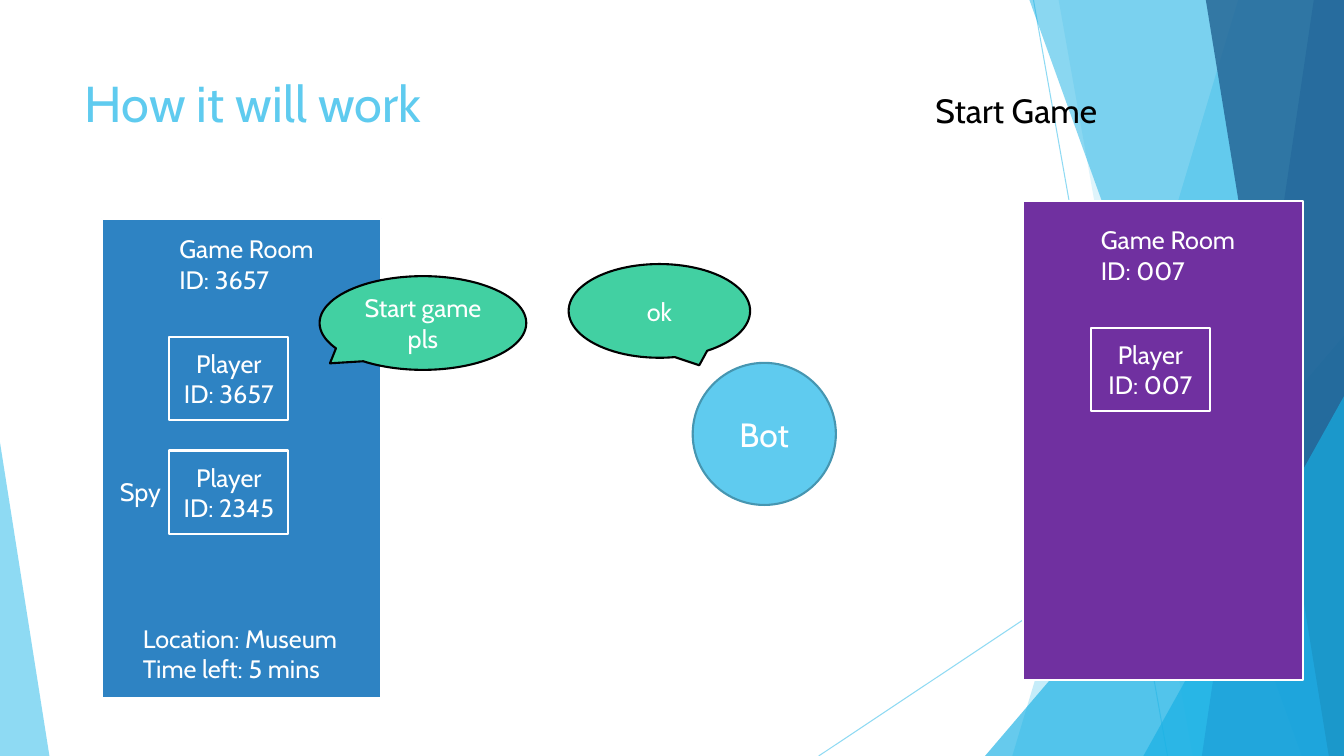
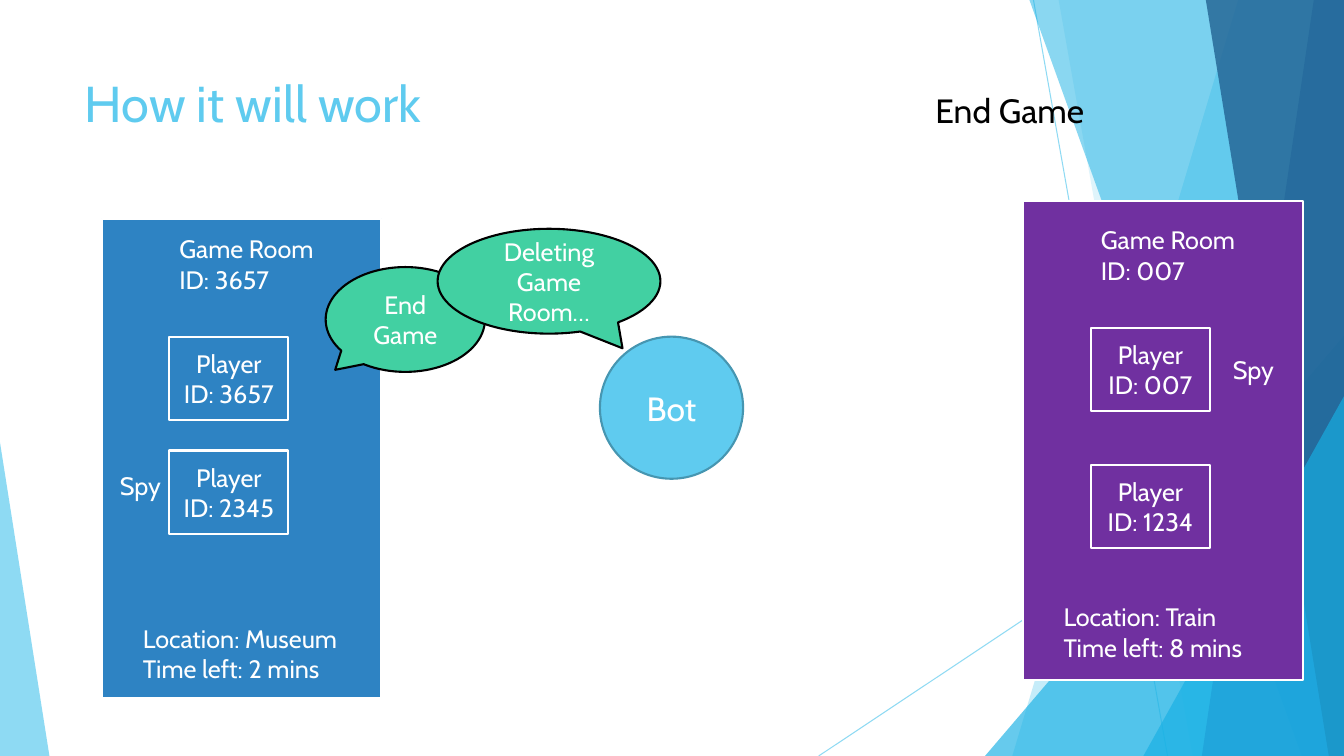
import pptx
import pptx.dml.color
import pptx.enum.shapes
import pptx.enum.text
import pptx.oxml
import pptx.oxml.ns
import pptx.util

Inches = pptx.util.Inches
Pt = pptx.util.Pt
RGBColor = pptx.dml.color.RGBColor
Shape = pptx.enum.shapes.MSO_SHAPE
Align = pptx.enum.text.PP_ALIGN
Anchor = pptx.enum.text.MSO_ANCHOR
qn = pptx.oxml.ns.qn

SKY = RGBColor(0x5F, 0xCB, 0xEF)
CYAN = RGBColor(0x17, 0xB0, 0xE4)
BLUE = RGBColor(0x2E, 0x83, 0xC3)
NAVY = RGBColor(0x22, 0x62, 0x92)
STEEL = RGBColor(0x46, 0x96, 0xB1)
PURPLE = RGBColor(0x70, 0x30, 0xA0)
GREEN = RGBColor(0x42, 0xD0, 0xA2)
WHITE = RGBColor(0xFF, 0xFF, 0xFF)
BLACK = RGBColor(0, 0, 0)
FONT = "Cabin"
WIDE, HIGH = 13.33, 7.5


def node(tag):
    """Make an empty drawing element."""
    return pptx.oxml.parse_xml(f"<a:{tag} {pptx.oxml.ns.nsdecls('a')}/>")


def fade(shape, percent):
    """Make the colours of a shape partly transparent."""
    for colour in shape.element.iter(qn("a:srgbClr")):
        alpha = node("alpha")
        alpha.set("val", str(percent * 1000))
        colour.append(alpha)


def paint(shape, fill, line=None):
    """Give a shape a flat fill and an optional outline."""
    shape.shadow.inherit = False
    shape.fill.solid()
    shape.fill.fore_color.rgb = fill
    if line is None:
        shape.line.fill.background()
    else:
        shape.line.color.rgb = line
        shape.line.width = Pt(1.5)


def write(shape, text, size=18, colour=WHITE, align=Align.LEFT):
    """Put text in a shape and format its runs."""
    frame = shape.text_frame
    frame.word_wrap = True
    frame.text = text
    for para in frame.paragraphs:
        para.alignment = align
        for run in para.runs:
            run.font.name = FONT
            run.font.size = Pt(size)
            run.font.color.rgb = colour


def figure(slide, kind, box, fill, line=None, text="", size=18):
    """Add a painted preset shape with centred text."""
    shape = slide.shapes.add_shape(kind, *map(Inches, box))
    paint(shape, fill, line)
    if text:
        shape.text_frame.vertical_anchor = Anchor.MIDDLE
        write(shape, text, size, align=Align.CENTER)
    return shape


def label(slide, box, text, size=18, colour=WHITE):
    """Add a plain text box."""
    write(slide.shapes.add_textbox(*map(Inches, box)), text, size, colour)


def ray(slide, start, end):
    """Add a thin line of the backdrop."""
    line = slide.shapes.add_connector(
        pptx.enum.shapes.MSO_CONNECTOR.STRAIGHT, *map(Inches, start + end))
    line.line.color.rgb = SKY
    line.line.width = Pt(0.75)
    line.element.spPr.append(node("effectLst"))
    fade(line, 70)


def band(slide, top, foot, fill, percent):
    """Add a slanted band that reaches the right edge."""
    points = [(top, 0), (WIDE, 0), (WIDE, HIGH), (foot, HIGH)]
    points = [(Inches(x), Inches(y)) for x, y in points]
    pen = slide.shapes.build_freeform(*points[0])
    pen.add_line_segments(points[1:], close=True)
    shape = pen.convert_to_shape()
    paint(shape, fill)
    fade(shape, percent)


def wedge(slide, left, top, width, peak, fill, percent):
    """Add a triangle that stands on the bottom edge."""
    box = (left, top, width, HIGH - top)
    shape = figure(slide, Shape.ISOSCELES_TRIANGLE, box, fill)
    shape.adjustments[0] = peak
    fade(shape, percent)


def backdrop(slide):
    """Draw the shared rays, bands and wedges and move them to the layout."""
    ray(slide, (10.25, 0), (11.58, HIGH))
    ray(slide, (WIDE, 4.03), (8.12, HIGH))
    band(slide, 12.28, 10.04, SKY, 36)
    band(slide, 10.5, 11.83, SKY, 20)
    wedge(slide, 9.77, 3.33, 3.56, 1, CYAN, 66)
    band(slide, 10.21, 12.91, CYAN, 50)
    band(slide, 13.03, 11.92, BLUE, 70)
    band(slide, 11.96, 13.18, NAVY, 80)
    wedge(slide, 11.34, 3.93, 1.99, 1, CYAN, 66)
    wedge(slide, 0, 4.39, 0.49, 0, SKY, 70)
    tree = slide.slide_layout.shapes.element
    for shape in list(slide.shapes):
        if not shape.is_placeholder:
            tree.append(shape.element)


def layout_title(layout):
    """Place the title of the layout."""
    title = layout.placeholders[0]
    title.left, title.top = Inches(0.74), Inches(0.67)
    title.width, title.height = Inches(9.4), Inches(1.44)
    title.text_frame.vertical_anchor = Anchor.TOP
    title.text_frame.auto_size = pptx.enum.text.MSO_AUTO_SIZE.NONE


def heading(slide, stage):
    """Write the title and the name of the stage."""
    write(slide.shapes.title, "How it will work", 36, SKY)
    label(slide, (9.18, 0.84, 2.56, 0.5), stage, 24, BLACK)


def room(slide, left, top, fill, head, players):
    """Add a game room with its players; head is the top of its label."""
    figure(slide, Shape.RECTANGLE, (left, top, 2.77, 4.76), fill, WHITE)
    inner = left + 0.67
    label(slide, (inner, head, 1.8, 0.71), f"Game Room\nID: {players[0][1]}")
    for y, code in players:
        figure(slide, Shape.RECTANGLE, (inner, y, 1.18, 0.83), fill, WHITE,
               f"Player\nID: {code}")


def status(slide, left, top, place, mins):
    """Add the location and the time left of a room."""
    label(slide, (left, top, 2.26, 0.71),
          f"Location: {place}\vTime left: {mins} mins")


def spy(slide, left, top):
    """Mark a player as the spy."""
    label(slide, (left, top, 0.67, 0.4), "Spy")


def bot(slide, left, top):
    """Add the bot."""
    figure(slide, Shape.OVAL, (left, top, 1.42, 1.41), SKY, STEEL, "Bot", 24)


def speech(slide, box, tip, text):
    """Add a speech bubble whose tail ends at tip."""
    shape = figure(slide, Shape.OVAL_CALLOUT, box, GREEN, BLACK, text)
    shape.adjustments[0], shape.adjustments[1] = tip


def scene(slide, stage, mins, guests):
    """Add the heading and both rooms."""
    heading(slide, stage)
    room(slide, 10.15, 1.99, PURPLE, 2.18, guests)
    room(slide, 1.01, 2.17, BLUE, 2.27, [(3.34, "3657"), (4.47, "2345")])
    status(slide, 1.32, 6.13, "Museum", mins)


def start_game(slide):
    """Build the slide on starting a game."""
    scene(slide, "Start Game", 5, [(3.25, "007")])
    spy(slide, 1.09, 4.68)
    bot(slide, 6.87, 3.6)
    speech(slide, (5.64, 2.62, 1.8, 0.93), (0.22, 0.58), "ok")
    speech(slide, (3.17, 2.74, 2.05, 0.93), (-0.45, 0.43), "Start game pls")


def end_game(slide):
    """Build the slide on ending a game."""
    scene(slide, "End Game", 2, [(3.25, "007"), (4.61, "1234")])
    status(slide, 10.45, 5.92, "Train", 8)
    spy(slide, 1.09, 4.62)
    spy(slide, 12.13, 3.47)
    bot(slide, 5.95, 3.34)
    speech(slide, (3.23, 2.65, 1.58, 1.04), (-0.44, 0.48), "End Game")
    speech(slide, (4.34, 2.27, 2.21, 1.04), (0.33, 0.64),
           "Deleting Game Room…")


def main():
    """Build and save the deck."""
    deck = pptx.Presentation()
    deck.slide_width, deck.slide_height = Inches(WIDE), Inches(HIGH)
    layout = deck.slide_layouts[5]
    layout_title(layout)
    first, second = [deck.slides.add_slide(layout) for _ in range(2)]
    backdrop(first)
    start_game(first)
    end_game(second)
    deck.save("out.pptx")


if __name__ == "__main__":
    main()
